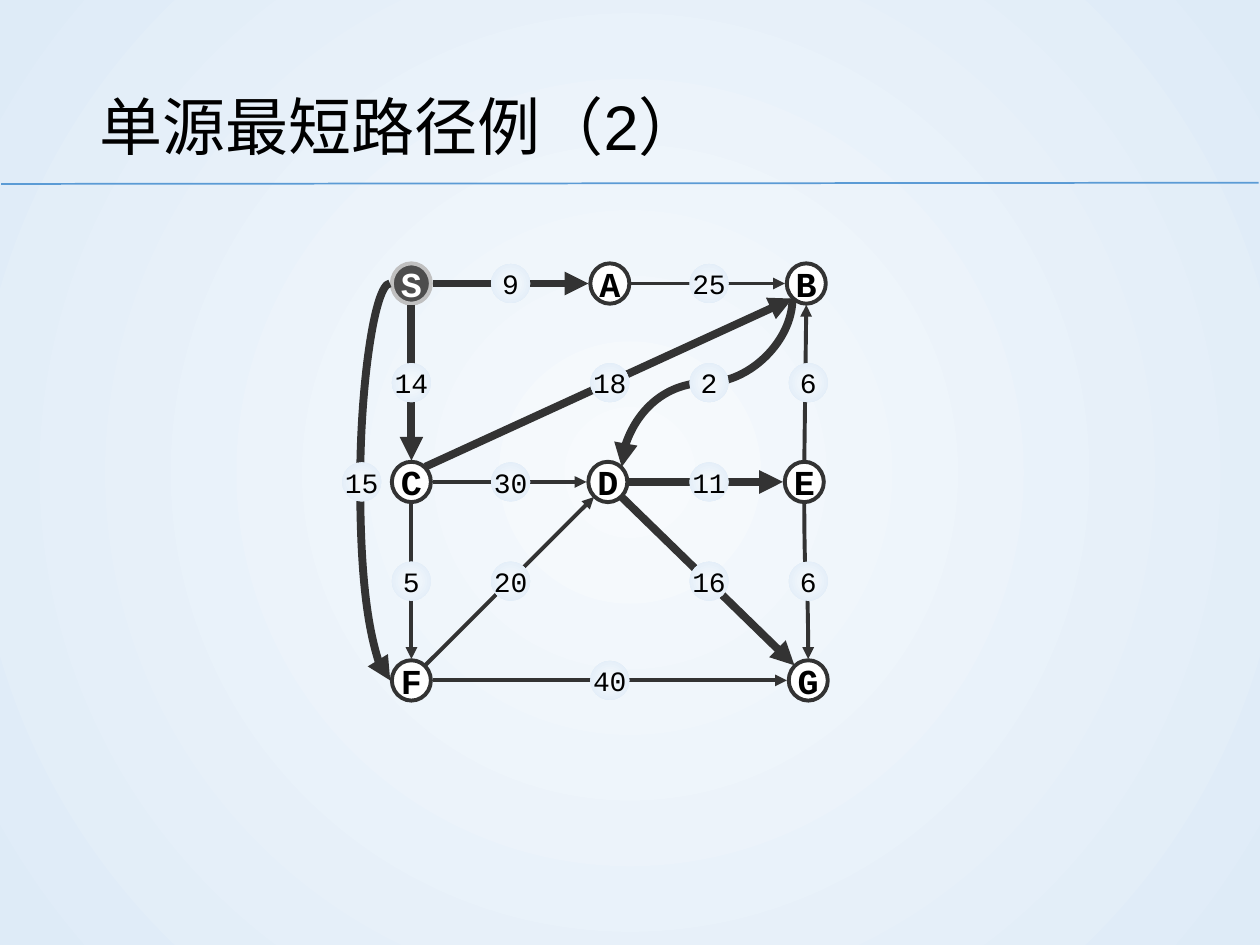
from dataclasses import dataclass

from lxml.etree import SubElement
from pptx import Presentation
from pptx.dml.color import RGBColor
from pptx.enum.shapes import MSO_CONNECTOR, MSO_SHAPE
from pptx.enum.text import MSO_ANCHOR, MSO_AUTO_SIZE, PP_ALIGN
from pptx.oxml.ns import qn
from pptx.util import Inches, Pt


@dataclass(frozen=True)
class Theme:
    title_font: str = "Arial"
    graph_font: str = "Courier New"
    title_size: float = 36
    node_size: float = 20
    weight_size: float = 16
    thin: float = 2.25
    thick: float = 4.5
    text: str = "000000"
    ink: str = "333333"
    paper: str = "FFFFFF"
    source_fill: str = "4D4D4D"
    source_ring: str = "C0C0C0"
    rule: str = "5B9BD5"
    glow: tuple = ("F7FAFD", "DEEBF7")


@dataclass(frozen=True)
class Box:
    left: float
    top: float
    width: float
    height: float


THEME = Theme()
SLIDE_W, SLIDE_H = 10, 7.5
TITLE_BOX = Box(0.069 * SLIDE_W, 0.053 * SLIDE_H, 0.862 * SLIDE_W, 0.144 * SLIDE_H)
GRAPH_BOX = Box(0.3265 * SLIDE_W, 0.3 * SLIDE_H, 0.315 * SLIDE_W, 0.42 * SLIDE_H)
GRID_STEPS = 2
NODE_W, NODE_H, WEIGHT_D = 0.31, 0.32, 0.31

NODES = {
    "S": (0, 0), "A": (1, 0), "B": (1.99, 0),
    "C": (0, 1), "D": (0.99, 1), "E": (1.98, 1),
    "F": (0, 2), "G": (2, 2),
}
SITES = {
    "N": (0, -0.17), "S": (0, 0.17), "W": (-0.17, 0), "E": (0.17, 0),
    "NW": (-0.11, -0.12), "NE": (0.11, -0.12),
    "SW": (-0.11, 0.12), "SE": (0.11, 0.12),
}
EDGES = [
    ("S", "W", "F", "W", "15", (-0.25, 1), True, "side"),
    ("S", "S", "C", "N", "14", (0, 0.5), True, "straight"),
    ("C", "S", "F", "N", "5", (0, 1.5), False, "straight"),
    ("E", "S", "G", "N", "6", (2, 1.5), False, "down"),
    ("D", "SE", "G", "NW", "16", (1.5, 1.5), True, "straight"),
    ("B", "SW", "D", "NE", "2", (1.5, 0.5), True, "down"),
    ("C", "NE", "B", "SW", "18", (1, 0.5), True, "straight"),
    ("C", "E", "D", "W", "30", (0.5, 1), False, "straight"),
    ("F", "NE", "D", "SW", "20", (0.5, 1.5), False, "straight"),
    ("E", "N", "B", "S", "6", (2, 0.5), False, "straight"),
    ("F", "E", "G", "W", "40", (1, 2), False, "straight"),
    ("A", "E", "B", "W", "25", (1.5, 0), False, "straight"),
    ("S", "E", "A", "W", "9", (0.5, 0), True, "straight"),
    ("D", "E", "E", "W", "11", (1.5, 1), True, "straight"),
]


def rgb(value):
    return RGBColor.from_string(value)


def glow_fill(fill, owner):
    fill.gradient()
    for stop, color in zip(fill.gradient_stops, THEME.glow):
        stop.color.rgb = rgb(color)
    gradient = owner.find(".//" + qn("a:gradFill"))
    gradient.remove(gradient.find(qn("a:lin")))
    circle = SubElement(gradient, qn("a:path"), path="circle")
    SubElement(circle, qn("a:fillToRect"), l="50000", t="50000", r="50000", b="50000")


def add_run(paragraph, text, font, size, color, bold=False):
    run = paragraph.add_run()
    run.text = text
    run.font.name = font
    run.font.size = Pt(size)
    run.font.bold = bold
    run.font.color.rgb = rgb(color)


def add_disc(slide, center, width, height, text, size, color, bold=False):
    x, y = center
    disc = slide.shapes.add_shape(
        MSO_SHAPE.OVAL, Inches(x - width / 2), Inches(y - height / 2),
        Inches(width), Inches(height))
    disc.shadow.inherit = False
    frame = disc.text_frame
    frame.word_wrap = False
    frame.vertical_anchor = MSO_ANCHOR.MIDDLE
    frame.margin_left = frame.margin_right = frame.margin_top = frame.margin_bottom = 0
    paragraph = frame.paragraphs[0]
    paragraph.alignment = PP_ALIGN.CENTER
    add_run(paragraph, text, THEME.graph_font, size, color, bold)
    return disc


def add_line(slide, kind, start, end, color, width, arrow=False):
    line = slide.shapes.add_connector(kind, *(Inches(v) for v in (*start, *end)))
    line.line.color.rgb = rgb(color)
    line.line.width = Pt(width)
    properties = line._element.spPr
    if arrow:
        SubElement(properties.find(qn("a:ln")), qn("a:tailEnd"), type="triangle")
    SubElement(properties, qn("a:effectLst"))
    return line


def add_side_curve(slide, start, end, width, bulge=0.24, span=0.002):
    curve = add_line(slide, MSO_CONNECTOR.CURVE, start, (end[0] + span, end[1]),
                     THEME.ink, width, arrow=True)
    guides = curve._element.spPr.find(qn("a:prstGeom")).get_or_add_avLst()
    SubElement(guides, qn("a:gd"), name="adj1", fmla=f"val {round(-bulge / span * 100000)}")


def add_down_curve(slide, start, end, width):
    middle_x, middle_y = (start[0] + end[0]) / 2, (start[1] + end[1]) / 2
    half_run, half_rise = abs(end[1] - start[1]) / 2, abs(end[0] - start[0]) / 2
    rightward = end[0] > start[0]
    reach = -half_run if rightward else half_run
    curve = add_line(slide, MSO_CONNECTOR.CURVE,
                     (middle_x - reach, middle_y - half_rise),
                     (middle_x + reach, middle_y + half_rise),
                     THEME.ink, width, arrow=True)
    degrees = 270 if rightward else 90
    curve._element.spPr.find(qn("a:xfrm")).set("rot", str(degrees * 60000))


def add_title(slide, box):
    title = slide.shapes.title
    title.left, title.top = Inches(box.left), Inches(box.top)
    title.width, title.height = Inches(box.width), Inches(box.height)
    frame = title.text_frame
    frame.word_wrap = True
    frame.auto_size = MSO_AUTO_SIZE.NONE
    frame.vertical_anchor = MSO_ANCHOR.MIDDLE
    paragraph = frame.paragraphs[0]
    paragraph.alignment = PP_ALIGN.LEFT
    paragraph.line_spacing = 1.2
    add_run(paragraph, "单源最短路径例（2）", THEME.title_font, THEME.title_size, THEME.text)
    add_line(slide, MSO_CONNECTOR.STRAIGHT, (0.01, 1.46), (SLIDE_W - 0.01, 1.45),
             THEME.rule, 1)


def add_graph(slide, box):
    def place(cell):
        column, row = cell
        return (box.left + column * box.width / GRID_STEPS,
                box.top + row * box.height / GRID_STEPS)

    def site(node, side):
        return tuple(c + d for c, d in zip(place(NODES[node]), SITES[side]))

    for node, cell in NODES.items():
        is_source = node == "S"
        disc = add_disc(slide, place(cell), NODE_W, NODE_H, node, THEME.node_size,
                        THEME.paper if is_source else THEME.text, bold=True)
        disc.fill.solid()
        disc.fill.fore_color.rgb = rgb(THEME.source_fill if is_source else THEME.paper)
        disc.line.color.rgb = rgb(THEME.source_ring if is_source else THEME.ink)
        disc.line.width = Pt(THEME.thin)

    for tail, tail_side, head, head_side, weight, cell, on_tree, route in EDGES:
        start, end = site(tail, tail_side), site(head, head_side)
        width = THEME.thick if on_tree else THEME.thin
        if route == "side":
            add_side_curve(slide, start, end, width)
        elif route == "down":
            add_down_curve(slide, start, end, width)
        else:
            add_line(slide, MSO_CONNECTOR.STRAIGHT, start, end, THEME.ink, width, arrow=True)
        disc = add_disc(slide, place(cell), WEIGHT_D, WEIGHT_D, weight,
                        THEME.weight_size, THEME.text)
        glow_fill(disc.fill, disc._element)
        disc.line.fill.background()


def main():
    deck = Presentation()
    deck.slide_width, deck.slide_height = Inches(SLIDE_W), Inches(SLIDE_H)
    slide = deck.slides.add_slide(deck.slide_layouts[5])
    glow_fill(slide.background.fill, slide._element)
    add_title(slide, TITLE_BOX)
    add_graph(slide, GRAPH_BOX)
    deck.save("out.pptx")


if __name__ == "__main__":
    main()
